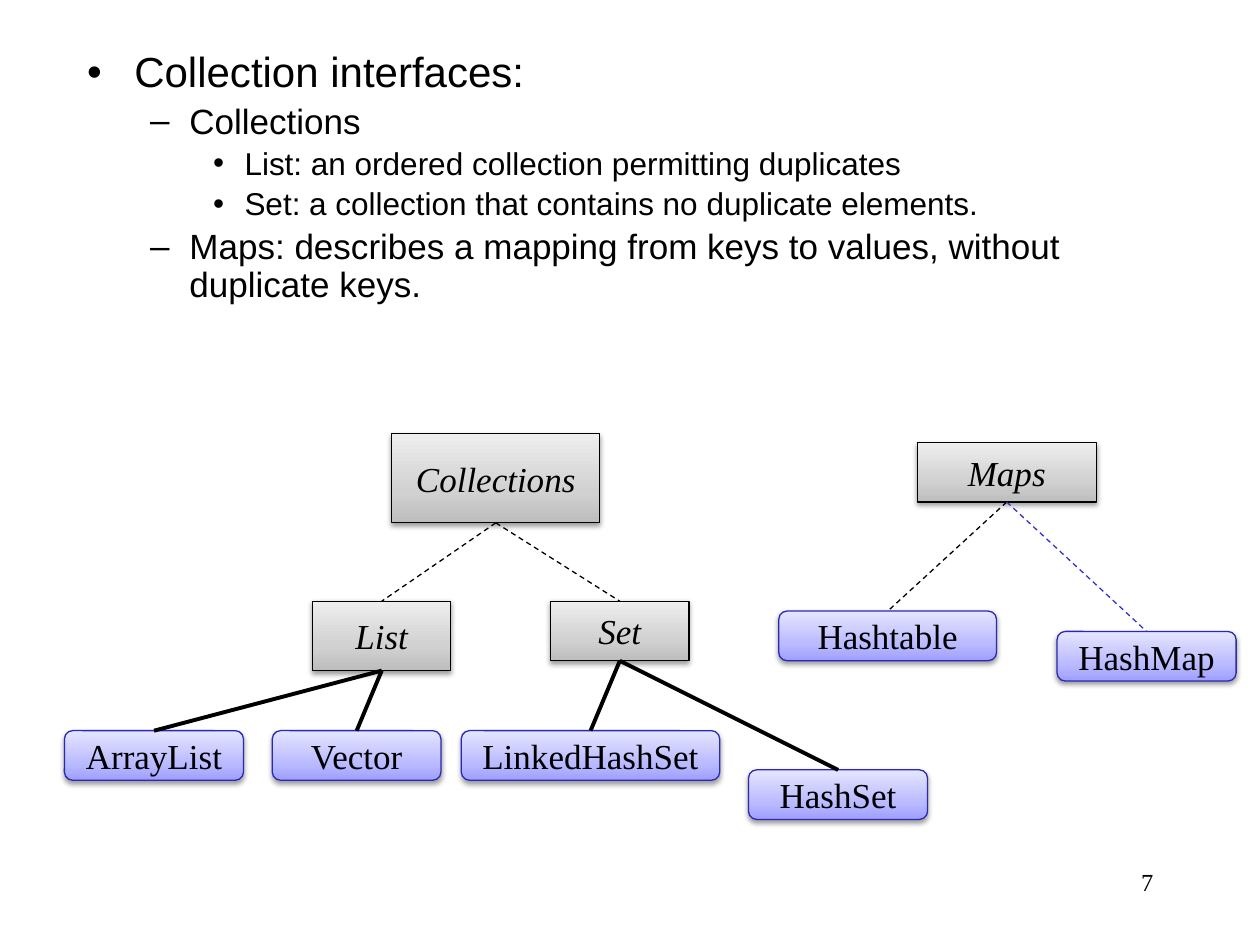
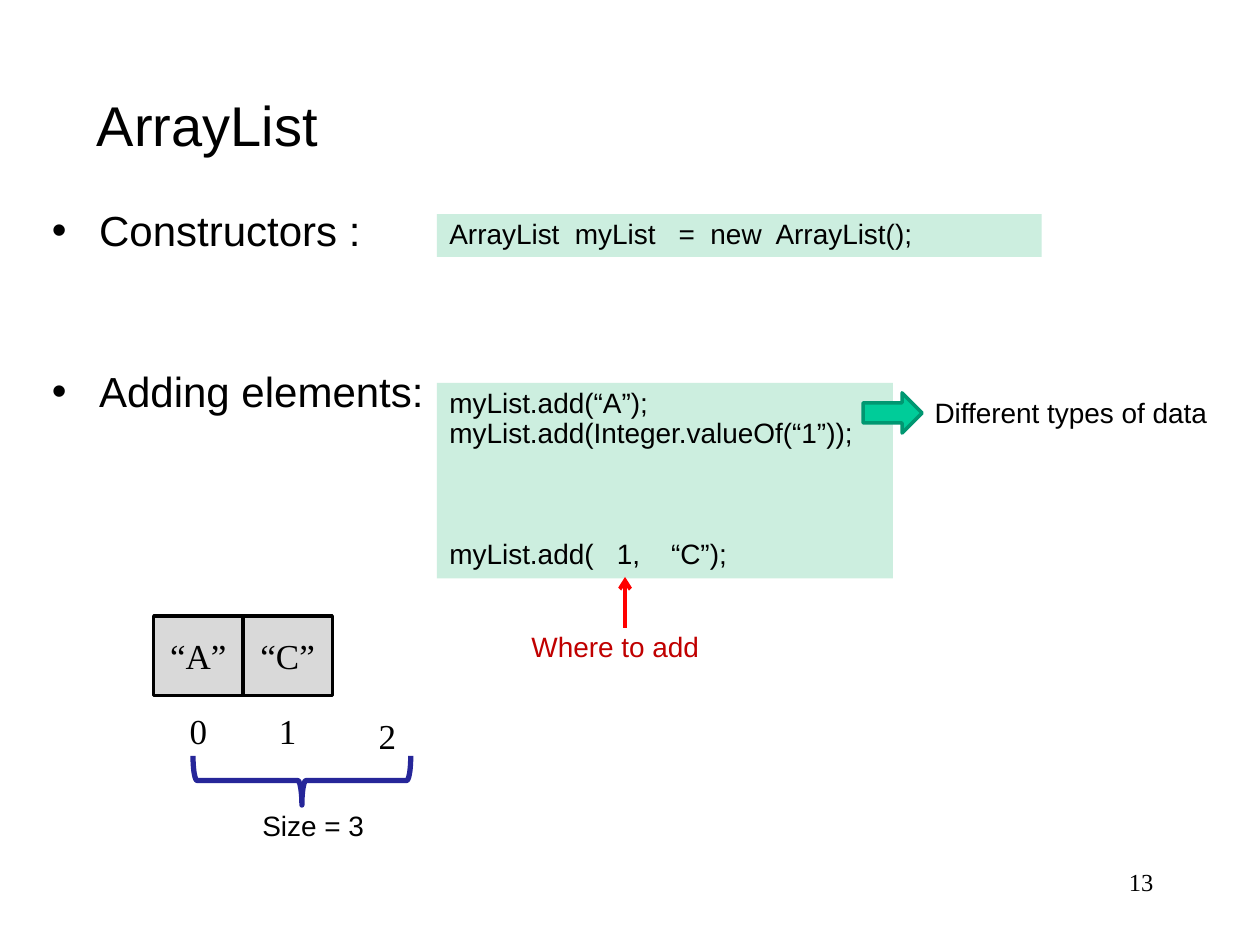
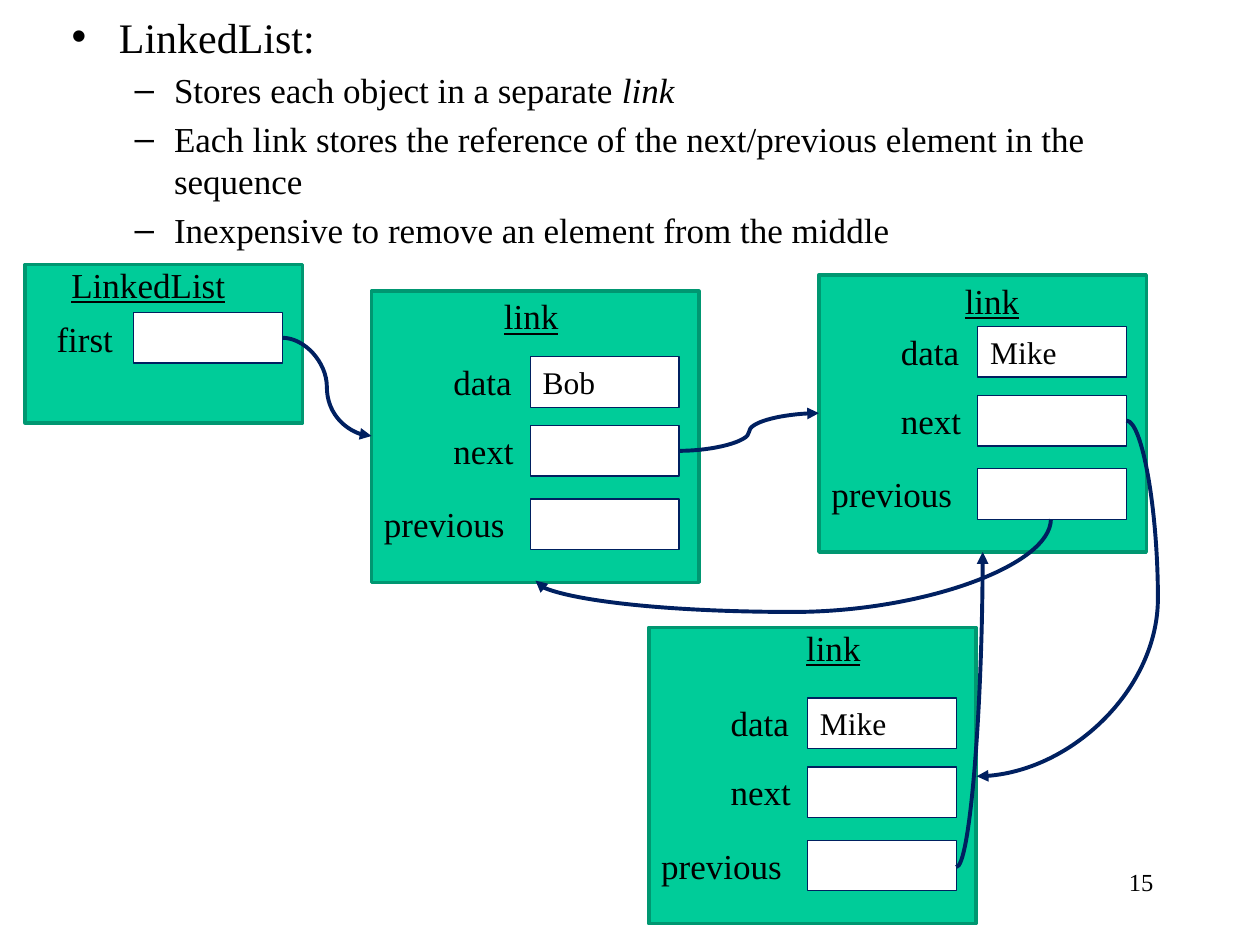
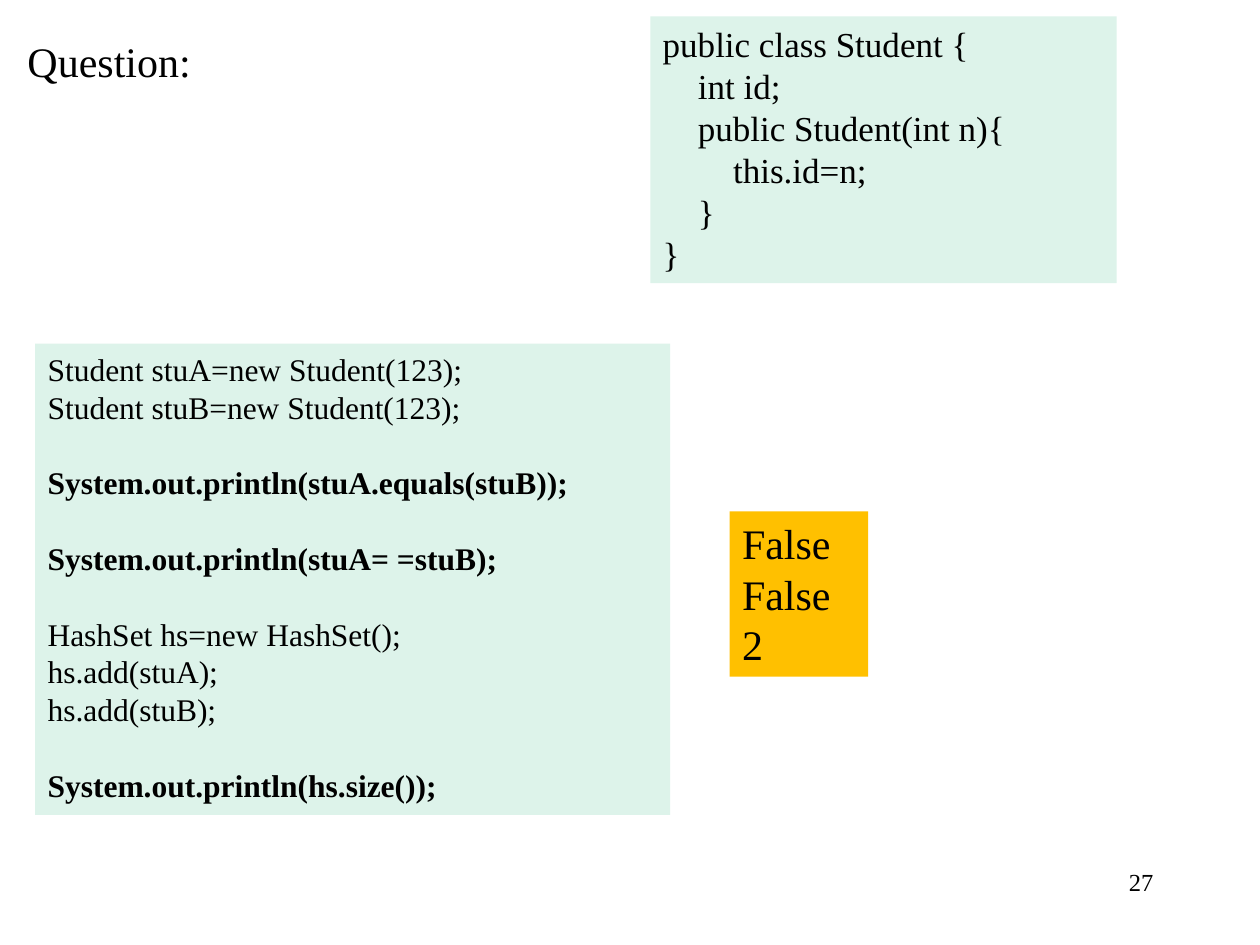
import copy

import pptx
import pptx.dml.color
import pptx.enum.dml
import pptx.enum.shapes
import pptx.enum.text
import pptx.oxml.ns
from lxml import etree
from pptx.util import Cm, Pt

# Shared look
SANS, SERIF = "Arial", "Times New Roman"
BLACK, WHITE, RED, CRIMSON = "000000", "FFFFFF", "FF0000", "C00000"
GREEN, FOREST, NAVY = "00CC99", "009771", "002060"
MINT, PALE, AMBER, SILVER = "CCEEDF", "DDF3EA", "FFC000", "D9D9D9"
BLUE, VIOLET, INDIGO = "2929B8", "3333CC", "262699"
GRAY_FADE = ("BDBDBD", "D1D1D1", "EEEEEE")
BLUE_FADE = ("9F9FFF", "BBBBFF", "E5E5FF")
STOPS = (0, 0.35, 1)
LEVELS = (24, 20, 18)  # list text sizes by level
RIGHT = 23.5           # right edge of the page number

KIND = pptx.enum.shapes.MSO_SHAPE
LINK = pptx.enum.shapes.MSO_CONNECTOR
DASH = pptx.enum.dml.MSO_LINE.DASH
ALIGN = pptx.enum.text.PP_ALIGN
ANCHOR = pptx.enum.text.MSO_ANCHOR
qn = pptx.oxml.ns.qn


def paint(code):
    return pptx.dml.color.RGBColor.from_string(code)


def child(node, tag, **attrs):
    return etree.SubElement(node, qn(tag), {k: str(v) for k, v in attrs.items()})


# Text
def add_runs(para, runs, size, font, color):
    """Runs are a string, or pairs of text and style letters (b, i, u)."""
    for text, style in [(runs, "")] if isinstance(runs, str) else runs:
        run = para.add_run()
        run.text = text
        run.font.name, run.font.size = font, Pt(size)
        run.font.color.rgb = paint(color)
        for flag, name in (("b", "bold"), ("i", "italic"), ("u", "underline")):
            if flag in style:
                setattr(run.font, name, True)


def write(shape, lines, size, font=SERIF, color=BLACK, align=ALIGN.LEFT,
          anchor=ANCHOR.TOP, pitch=None):
    """Each line is its runs, or a tuple of runs, points before and indent in cm."""
    frame = shape.text_frame
    frame.word_wrap = True
    frame.vertical_anchor = anchor
    for num, line in enumerate(lines):
        runs, before, indent = line if isinstance(line, tuple) else (line, 0, 0)
        para = frame.add_paragraph() if num else frame.paragraphs[0]
        para.alignment = align
        if pitch:
            para.line_spacing = pitch
        if before:
            para.space_before = Pt(before)
        if indent:
            para._p.get_or_add_pPr().set("marL", str(Cm(indent)))
        add_runs(para, runs, size, font, color)


def label(slide, place, runs, size=20, **look):
    shape = slide.shapes.add_textbox(*map(Cm, place))
    write(shape, [runs], size, **look)


def move(holder, place):
    holder.left, holder.top, holder.width, holder.height = map(Cm, place)
    holder.text_frame.auto_size = pptx.enum.text.MSO_AUTO_SIZE.NONE


def set_title(slide, place, text, size, font):
    move(slide.shapes.title, place)
    write(slide.shapes.title, [text], size, font, anchor=ANCHOR.MIDDLE)


def set_list(slide, place, items, font, pitch=None):
    """Items are level, runs and, if needed, points before."""
    body = slide.placeholders[1]
    move(body, place)
    for num, (level, runs, *before) in enumerate(items):
        frame = body.text_frame
        para = frame.add_paragraph() if num else frame.paragraphs[0]
        para.level = level
        if pitch:
            para.line_spacing = pitch
        if before:
            para.space_before = Pt(before[0])
        add_runs(para, runs, LEVELS[level], font, BLACK)


# Shapes
def box(slide, place, fill=None, line=None, width=0.75, kind=KIND.RECTANGLE):
    shape = slide.shapes.add_shape(kind, *map(Cm, place))
    shape.shadow.inherit = False
    if fill:
        shape.fill.solid()
        shape.fill.fore_color.rgb = paint(fill)
    else:
        shape.fill.background()
    if line:
        shape.line.color.rgb = paint(line)
        shape.line.width = Pt(width)
    else:
        shape.line.fill.background()
    return shape


def tile(slide, place, text, fade, line, style="", kind=KIND.RECTANGLE):
    """A box with a three-step fade and a soft shadow."""
    shape = box(slide, place, WHITE, line, kind=kind)
    shape.fill.gradient()
    shape.fill.gradient_angle = 90
    steps = shape._element.spPr.find(".//" + qn("a:gsLst"))
    steps.append(copy.deepcopy(steps[-1]))
    for stop, spot, code in zip(shape.fill.gradient_stops, STOPS, fade):
        stop.position = spot
        stop.color.rgb = paint(code)
    glow = child(shape._element.spPr.find(qn("a:effectLst")), "a:outerShdw",
                 blurRad=Pt(3.1), dist=Pt(1.6), dir=5400000, rotWithShape=0)
    child(child(glow, "a:srgbClr", val=BLACK), "a:alpha", val=38000)
    write(shape, [[(text, style)]], 20, align=ALIGN.CENTER, anchor=ANCHOR.MIDDLE)
    return shape


def panel(slide, place, fill, lines, size, **look):
    write(box(slide, place, fill), lines, size, **look)


# Lines
def wire(slide, ends, color, width, dash=None, head=None, kind=LINK.STRAIGHT):
    line = slide.shapes.add_connector(kind, *map(Cm, ends))
    line.line.color.rgb = paint(color)
    line.line.width = Pt(width)
    if dash:
        line.line.dash_style = dash
    props = line._element.spPr
    if head:
        child(props.find(qn("a:ln")), "a:tailEnd", type=head)
    child(props, "a:effectLst")
    return line


def join(slide, top, low, color=BLACK, width=2.25, dash=None):
    """Connect the bottom of one tile to the top of another."""
    line = wire(slide, (0, 0, 1, 1), color, width, dash)
    line.begin_connect(top, 2)
    line.end_connect(low, 0)


def curve(slide, ends, bend=None, turn=0, preset="curvedConnector3"):
    line = wire(slide, ends, NAVY, 2.25, head="triangle", kind=LINK.CURVE)
    props = line._element.spPr
    shape = props.find(qn("a:prstGeom"))
    shape.set("prst", preset)
    if bend is not None:
        guides = shape.find(qn("a:avLst"))
        if guides is None:
            guides = child(shape, "a:avLst")
        child(guides, "a:gd", name="adj1", fmla=f"val {round(bend * 100000)}")
    if turn:
        props.find(qn("a:xfrm")).set("rot", str(turn * 60000))


# Pages
def page(deck, layout, number, titled=True, width=5.28):
    slide = deck.slides.add_slide(deck.slide_layouts[layout])
    if not titled:
        title = slide.shapes.title._element
        title.getparent().remove(title)
    label(slide, (RIGHT - width, 17.35, width, 1.27), number, 14, align=ALIGN.RIGHT)
    return slide


def show_tree(deck):
    slide = page(deck, 1, "7", titled=False)
    set_list(slide, (1.5, 0.91, 21.59, 6.2), [
        (0, "Collection interfaces:"),
        (1, "Collections"),
        (2, "List: an ordered collection permitting duplicates"),
        (2, "Set: a collection that contains no duplicate elements."),
        (1, "Maps: describes a mapping from keys to values, without duplicate keys."),
    ], SANS, 0.9)
    tiles = {}
    # Interfaces: left, top, width, height
    for name, place in {
        "Collections": (7.9, 8.74, 4.19, 1.8),
        "List": (6.3, 12.12, 2.79, 1.4),
        "Set": (11.1, 12.12, 2.79, 1.2),
        "Maps": (18.49, 8.92, 3.61, 1.2),
    }.items():
        tiles[name] = tile(slide, place, name, GRAY_FADE, BLACK, "i")
    # Classes: left, top, width
    for name, place in {
        "ArrayList": (1.3, 14.73, 3.61),
        "Vector": (5.49, 14.73, 3.4),
        "LinkedHashSet": (9.3, 14.73, 5.21),
        "HashSet": (15.09, 15.52, 3.61),
        "Hashtable": (15.7, 12.32, 4.39),
        "HashMap": (21.31, 12.73, 3.61),
    }.items():
        tiles[name] = tile(slide, (*place, 1), name, BLUE_FADE, BLUE,
                           kind=KIND.ROUNDED_RECTANGLE)
    for top, low, *look in (
        ("Collections", "List", BLACK, 0.75, DASH),
        ("Collections", "Set", BLACK, 0.75, DASH),
        ("Maps", "Hashtable", BLACK, 0.75, DASH),
        ("Maps", "HashMap", VIOLET, 0.75, DASH),
        ("List", "ArrayList"), ("List", "Vector"),
        ("Set", "LinkedHashSet"), ("Set", "HashSet"),
    ):
        join(slide, tiles[top], tiles[low], *look)


def show_array(deck):
    slide = page(deck, 1, "13")
    set_title(slide, (1.7, 0.91, 21.59, 3.18), "ArrayList", 32, SANS)
    set_list(slide, (0.79, 4.11, 22.2, 7.39),
             [(0, "Constructors :"), (0, "Adding elements:", 66)], SANS, 0.9)
    # Code
    code = dict(font=SANS, pitch=0.9)
    panel(slide, (8.81, 4.32, 12.19, 0.86), MINT,
          ["ArrayList  myList   =  new  ArrayList();"], 16, **code)
    panel(slide, (8.81, 7.72, 9.19, 3.94), MINT, [
        "myList.add(“A”);",
        "myList.add(Integer.valueOf(“1”));",
        ("myList.add(   1,    “C”);", 52, 0),
    ], 16, **code)
    # Cells with their index below
    mid = dict(align=ALIGN.CENTER, anchor=ANCHOR.MIDDLE)
    side = 1.8
    for num, text in enumerate(("“A”", "“C”")):
        left = 3.1 + num * side
        cell = box(slide, (left, 12.42, side, 1.6), SILVER, BLACK, 2)
        write(cell, [text], 20, **mid)
        label(slide, (left, 14.02, side, 1.4), str(num), **mid)
    panel(slide, (6.91, 14.22, side, 1.2), WHITE, ["2"], 20, **mid)
    # Remarks
    brace = box(slide, (5.59, 13.54, 0.99, 4.39), None, INDIGO, 3, KIND.RIGHT_BRACE)
    brace.rotation = 90
    label(slide, (3.71, 16.26, 5.21, 0.86), "Size = 3", 16, align=ALIGN.CENTER, **code)
    label(slide, (9.8, 12.65, 5.21, 0.86), "Where to add", 16, color=CRIMSON,
          align=ALIGN.CENTER, **code)
    wire(slide, (12.6, 12.65, 12.6, 11.63), RED, 2.25, head="arrow")
    label(slide, (18.59, 7.92, 6.3, 0.86), "Different types of data", 16, **code)
    box(slide, (17.4, 7.92, 1.19, 0.81), GREEN, FOREST, 2, KIND.RIGHT_ARROW)


def slot(slide, left, top, text=""):
    field = box(slide, (left, top, 3, 1.02), WHITE, NAVY)
    if text:
        write(field, [text], 18)


def node(slide, left, top, height, first, head, name):
    """A link: panel, heading and three named slots from the height first."""
    box(slide, (left, top, 6.6, height), GREEN, FOREST, 2)
    rows = (("data", name, 1.4, 0), ("next", "", 1.4, 1.39), ("previous", "", 0, 2.87))
    for word, text, shift, drop in rows:
        slot(slide, left + 3.2, first + drop, text)
        label(slide, (left + shift, first + drop - 0.05, 3.2 - shift, 1.12), word)
    label(slide, (*head, 3.2, 1.12), [("link", "u")])


def show_links(deck):
    slide = page(deck, 1, "15", titled=False, width=1.09)
    set_list(slide, (1.19, 0.1, 22.4, 5.74), [
        (0, "LinkedList:"),
        (1, [("Stores each object in a separate ", ""), ("link", "i")]),
        (1, "Each link stores the reference of the next/previous element in the sequence"),
        (1, "Inexpensive to remove an element from the middle"),
    ], SERIF)
    # List head
    box(slide, (0.51, 5.33, 5.59, 3.2), GREEN, FOREST, 2)
    slot(slide, 2.69, 6.3)
    label(slide, (0.89, 6.27, 4.19, 1.12), "first")
    label(slide, (1.19, 5.18, 4.39, 1.12), [("LinkedList", "u")])
    # Links
    node(slide, 7.49, 5.87, 5.87, 7.19, (9.91, 5.82), "Bob")
    node(slide, 16.51, 5.54, 5.59, 6.58, (19.2, 5.51), "Mike")
    node(slide, 13.08, 12.65, 5.97, 14.07, (16, 12.5), "Mike")
    # Arrows from slots to links
    curve(slide, (5.69, 6.81, 7.49, 8.79))
    curve(slide, (13.69, 9.09, 16.51, 8.33))
    curve(slide, (15.37, 5.89, 16.61, 16.28), bend=1.51, turn=90)
    curve(slide, (19.28, 17.48, 19.81, 11.13), preset="curvedConnector2")
    curve(slide, (22.71, 8.48, 19.69, 15.65), bend=-0.21)


def show_quiz(deck):
    slide = page(deck, 5, "27")
    set_title(slide, (0.3, 0.33, 21.59, 1.8), "Question:", 24, SERIF)
    gap, step = 21.6, 0.71  # points between parts, cm per code indent
    panel(slide, (0.71, 6.93, 12.8, 9.5), PALE, [
        "Student stuA=new Student(123);",
        "Student stuB=new Student(123);",
        ([("System.out.println(stuA.equals(stuB));", "b")], gap, 0),
        ([("System.out.println(stuA= =stuB);", "b")], gap, 0),
        ("HashSet hs=new HashSet();", gap, 0),
        "hs.add(stuA);",
        "hs.add(stuB);",
        ([("System.out.println(hs.size());", "b")], gap, 0),
    ], 18)
    panel(slide, (14.71, 10.31, 2.79, 3.33), AMBER, ["False", "False", "2"], 24)
    panel(slide, (13.11, 0.33, 9.4, 5.38), PALE, [
        "public class Student {",
        ("int id;", 0, step),
        ("public Student(int n){", 0, step),
        ("this.id=n;", 0, 2 * step),
        ("}", 0, step),
        "}",
    ], 20)


def main():
    deck = pptx.Presentation()
    deck.slide_width, deck.slide_height = Cm(25.4), Cm(19.05)
    for show in (show_tree, show_array, show_links, show_quiz):
        show(deck)
    deck.save("out.pptx")


if __name__ == "__main__":
    main()
